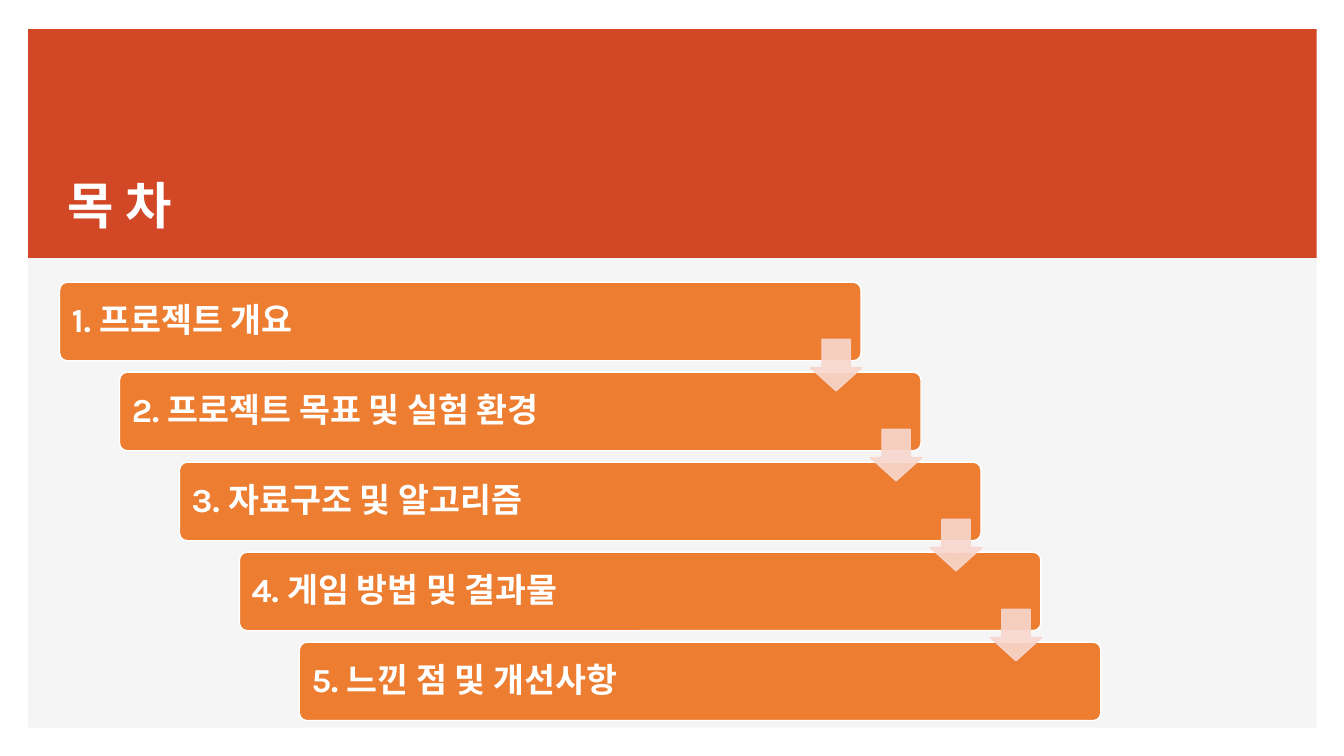
import pptx
import pptx.util
import pptx.dml.color
import pptx.enum.shapes
import pptx.enum.text
import pptx.oxml
import pptx.oxml.ns
import lxml.etree

RGBColor = pptx.dml.color.RGBColor
WHITE = RGBColor(0xFF, 0xFF, 0xFF)
PALE_GREY = RGBColor(0xF5, 0xF5, 0xF5)
RED = RGBColor(0xD2, 0x47, 0x26)
ORANGE = RGBColor(0xED, 0x7D, 0x31)
PINK = RGBColor(0xF8, 0xD7, 0xCE)

SHAPES = pptx.enum.shapes.MSO_SHAPE
ANCHORS = pptx.enum.text.MSO_ANCHOR

TOPICS = [
    "1. 프로젝트 개요",
    "2. 프로젝트 목표 및 실험 환경",
    "3. 자료구조 및 알고리즘",
    "4. 게임 방법 및 결과물",
    "5. 느낀 점 및 개선사항",
]
STEP_RIGHT, STEP_DOWN = 4.46, 11.9


def write_text(box, text, size, font, anchor, inset=0.05, line_spacing=1.0, space_after=0):
    frame = box.text_frame
    frame.word_wrap = True
    frame.vertical_anchor = anchor
    frame.margin_left = frame.margin_right = pptx.util.Inches(0.1)
    frame.margin_top = frame.margin_bottom = pptx.util.Inches(inset)
    para = frame.paragraphs[0]
    para.line_spacing = line_spacing
    para.space_after = pptx.util.Pt(space_after)
    span = para.add_run()
    span.text = text
    span.font.size = pptx.util.Pt(size)
    span.font.name = font
    span.font.bold = True
    span.font.color.rgb = WHITE
    east_asian = lxml.etree.SubElement(span.font._element, pptx.oxml.ns.qn("a:ea"))
    east_asian.set("typeface", "Noto Sans CJK KR")


class AgendaPage:
    def __init__(self, deck):
        self.deck = deck
        self.page = deck.slides.add_slide(deck.slide_layouts[6])

    def place(self, left, top, width, height):
        across, down = self.deck.slide_width, self.deck.slide_height
        return [int(share * side / 100) for share, side in
                ((left, across), (top, down), (width, across), (height, down))]

    def shape(self, kind, area, fill, line=None, adjustments=(), opacity=100):
        shape = self.page.shapes.add_shape(kind, *self.place(*area))
        shape.shadow.inherit = False
        for index, value in enumerate(adjustments):
            shape.adjustments[index] = value
        shape.fill.solid()
        shape.fill.fore_color.rgb = fill
        if line is None:
            shape.line.fill.background()
        else:
            shape.line.color.rgb = line
            shape.line.width = pptx.util.Pt(1)
        if opacity < 100:
            for color in shape._element.spPr.iter(pptx.oxml.ns.qn("a:srgbClr")):
                alpha = lxml.etree.SubElement(color, pptx.oxml.ns.qn("a:alpha"))
                alpha.set("val", str(opacity * 1000))

    def text(self, area, text, **style):
        box = self.page.shapes.add_textbox(*self.place(*area))
        write_text(box, text, **style)

    def bar(self, index, topic):
        left, top = 4.43 + index * STEP_RIGHT, 37.33 + index * STEP_DOWN
        self.shape(SHAPES.ROUNDED_RECTANGLE, (left, top, 59.64, 10.4), ORANGE, WHITE, (0.1,))
        self.text((left + 0.18, top + 0.3, 52, 9.87), topic, size=24, font="Karla",
                  anchor=ANCHORS.MIDDLE, inset=0.1, line_spacing=0.9, space_after=8.4)

    def arrow(self, index):
        area = (60.3 + index * STEP_RIGHT, 44.9 + index * STEP_DOWN, 3.83, 6.8)
        self.shape(SHAPES.DOWN_ARROW, area, PINK, PINK, (0.55, 0.45), opacity=90)


def main():
    deck = pptx.Presentation()
    deck.slide_width = pptx.util.Inches(13.33)
    deck.slide_height = pptx.util.Inches(7.5)
    agenda = AgendaPage(deck)
    for height, fill in ((92.4, PALE_GREY), (30.27, RED)):
        agenda.shape(SHAPES.RECTANGLE, (2.1, 3.87, 95.87, height), fill)
    agenda.text((4.28, 22.4, 56.4, 9.33), "목 차", size=36,
                font="Noto Sans CJK KR", anchor=ANCHORS.BOTTOM)
    for index, topic in enumerate(TOPICS):
        agenda.bar(index, topic)
    for index in range(len(TOPICS) - 1):
        agenda.arrow(index)
    deck.save("out.pptx")


if __name__ == "__main__":
    main()
